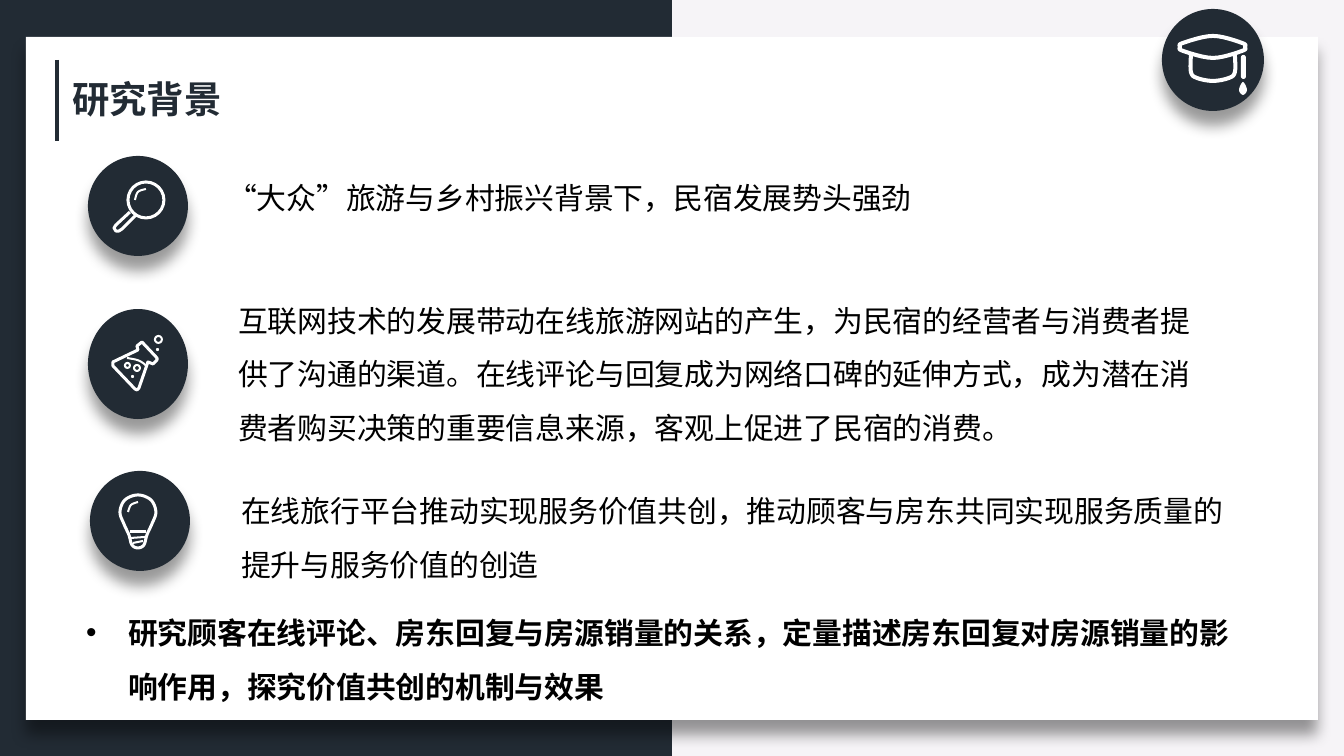
from lxml import etree
from pptx import Presentation
from pptx.dml.color import RGBColor
from pptx.enum.shapes import MSO_CONNECTOR, MSO_SHAPE
from pptx.enum.text import MSO_AUTO_SIZE
from pptx.oxml import parse_xml
from pptx.oxml.ns import nsdecls, qn
from pptx.util import Emu, Pt

RECT, OVAL, PILL = MSO_SHAPE.RECTANGLE, MSO_SHAPE.OVAL, MSO_SHAPE.ROUNDED_RECTANGLE
STRAIGHT, GROW = MSO_CONNECTOR.STRAIGHT, MSO_AUTO_SIZE.SHAPE_TO_FIT_TEXT
PX = 914400 / 134.4
SLIDE_W, SLIDE_H = 1344, 756
DARK, WHITE, PALE, BLACK = "222B34", "FFFFFF", "F6F4F7", "000000"
LATIN_FONT, CHINESE_FONT = "Calibri", "Noto Sans CJK SC"

BODY = {"size": 16, "name": LATIN_FONT, "color": BLACK, "bold": False}
TITLE = {"size": 20, "name": CHINESE_FONT, "color": DARK, "bold": True}
CONCLUSION = {**BODY, "bold": True}

# text, box, font, layout
TEXTS = [
    ("研究背景", (59, 70, 177, 59), TITLE, {"wrap": False}),
    ("“大众”旅游与乡村振兴背景下，民宿发展势头强劲",
     (214, 173, 720, 86), BODY, {"wrap": False}),
    ("互联网技术的发展带动在线旅游网站的产生，为民宿的经营者与消费者提供了沟通的渠道。"
     "在线评论与回复成为网络口碑的延伸方式，成为潜在消费者购买决策的重要信息来源，"
     "客观上促进了民宿的消费。",
     (225, 278, 1007, 171), BODY, {"spacing": 1.5}),
    ("在线旅行平台推动实现服务价值共创，推动顾客与房东共同实现服务质量的"
     "提升与服务价值的创造",
     (228, 468, 1019, 117), BODY, {"spacing": 1.5}),
    ("研究顾客在线评论、房东回复与房源销量的关系，定量描述房东回复对房源销量的"
     "影响作用，探究价值共创的机制与效果",
     (73, 590, 1199, 117), CONCLUSION, {"spacing": 1.5, "hanging": 42}),
]

# Icon parts: (kind, geometry, stroke width); stroke 0 means filled white
GRADUATION_CAP = [
    ("closed", [(1180, 47), (1183, 43), (1213, 36), (1242, 43),
                (1245, 47), (1242, 51), (1213, 58), (1183, 51)], 4),
    ("curve", [(1191, 54), (1191, 72), (1197, 78), (1213, 81),
               (1229, 78), (1235, 72), (1235, 54)], 4),
    ("pill", (1241, 55, 5, 24), 0),
    ("closed", [(1243, 82), (1247, 90), (1243, 95), (1239, 90)], 0),
]
MAGNIFIER = [
    ("oval", (128, 182, 36, 36), 3),
    ("open", [(130, 212), (116, 225), (114, 228), (116, 231),
              (119, 231), (122, 229), (136, 215)], 3),
    ("curve", [(135, 200), (138, 192), (146, 189)], 2),
]
FLASK = [
    ("outline", [(142, 342), (157, 358), (157, 360), (153, 364), (148, 362),
                 (139, 388), (137, 390), (135, 389), (113, 366), (113, 362),
                 (138, 350), (137, 346)], 3),
    ("curve", [(127, 358), (137, 360), (143, 363), (147, 367)], 2),
    ("oval", (134, 365, 6, 6), 2),
    ("oval", (125, 363, 5, 5), 2),
    ("oval", (155, 336, 7, 7), 2),
    ("oval", (131, 375, 3, 3), 0),
    ("oval", (156, 348, 3, 3), 0),
]
LIGHT_BULB = [
    ("closed", [(138, 495), (151, 500), (156, 512), (152, 524), (147, 535),
                (144, 545), (138, 548), (132, 545), (129, 535), (124, 524),
                (120, 512), (125, 500)], 3),
    ("line", (130, 532, 146, 532), 3),
    ("line", (131, 538, 145, 537), 2),
    ("line", (133, 543, 143, 541), 2),
    ("curve", [(128, 512), (131, 505), (138, 502)], 2),
]
BADGES = [
    ((1162, 9, 102, 102), GRADUATION_CAP),
    ((88, 156, 100, 100), MAGNIFIER),
    ((88, 309, 100, 110), FLASK),
    ((90, 471, 100, 100), LIGHT_BULB),
]


def px(*lengths):
    return [Emu(round(length * PX)) for length in lengths]


def rgb(value):
    return RGBColor.from_string(value)


def paint(shape, fill, stroke=0):
    """Fill the shape, or draw only its outline when a stroke is given."""
    shape.shadow.inherit = False
    if stroke:
        shape.fill.background()
        shape.line.color.rgb = rgb(fill)
        shape.line.width = px(stroke)[0]
    else:
        shape.fill.solid()
        shape.fill.fore_color.rgb = rgb(fill)
        shape.line.fill.background()


def add_preset(shapes, preset, box, fill, stroke=0):
    shape = shapes.add_shape(preset, *px(*box))
    paint(shape, fill, stroke)
    return shape


def add_line(shapes, ends, color, width):
    line = shapes.add_connector(STRAIGHT, *px(*ends))
    line.line.color.rgb = rgb(color)
    line.line.width = px(width)[0]
    etree.SubElement(line._element.spPr, qn("a:effectLst"))


def drop_shadow(shape):
    effects = shape._element.spPr.find(qn("a:effectLst"))
    effects.append(parse_xml(
        f'<a:outerShdw {nsdecls("a")} blurRad="{Pt(8)}" dist="{Pt(8)}" dir="5400000" '
        'algn="t" rotWithShape="0"><a:srgbClr val="000000"><a:alpha val="40000"/>'
        '</a:srgbClr></a:outerShdw>'))


def smooth(points, closed, steps=6):
    """Sample a Catmull-Rom curve through the points."""
    ring = [points[-1], *points, *points[:2]] if closed else [points[0], *points, points[-1]]
    samples = []
    for quad in zip(ring, ring[1:], ring[2:], ring[3:]):
        for step in range(steps):
            t = step / steps
            samples.append(tuple(
                b + t * (c - a) / 2 + t**2 * (2*a - 5*b + 4*c - d) / 2
                + t**3 * (3*b - a - 3*c + d) / 2
                for a, b, c, d in zip(*quad)))
    return samples if closed else samples + [points[-1]]


def add_icon_part(shapes, kind, geometry, stroke):
    if kind in ("oval", "pill"):
        shape = add_preset(shapes, OVAL if kind == "oval" else PILL, geometry, WHITE, stroke)
        if kind == "pill":
            shape.adjustments[0] = 0.5
    elif kind == "line":
        add_line(shapes, geometry, WHITE, stroke)
    else:
        closed = kind in ("closed", "outline")
        points = smooth(geometry, closed) if kind in ("closed", "curve") else geometry
        start, *rest = [px(*point) for point in points]
        builder = shapes.build_freeform(*start)
        builder.add_line_segments(rest, close=closed)
        paint(builder.convert_to_shape(), WHITE, stroke)


def add_text(shapes, text, box, font, layout):
    frame = shapes.add_textbox(*px(*box)).text_frame
    frame.word_wrap = layout.get("wrap", True)
    frame.auto_size = GROW
    paragraph = frame.paragraphs[0]
    paragraph.line_spacing = layout.get("spacing")
    if "hanging" in layout:
        indent = px(layout["hanging"])[0]
        properties = paragraph._p.get_or_add_pPr()
        properties.set("marL", str(indent))
        properties.set("indent", str(-indent))
        etree.SubElement(properties, qn("a:buFont"), typeface="Arial")
        etree.SubElement(properties, qn("a:buChar"), char="•")
    run = paragraph.add_run()
    run.text = text
    values = {"size": Pt(font["size"]), "name": font["name"], "bold": font["bold"]}
    for attribute, value in values.items():
        setattr(run.font, attribute, value)
    run.font.color.rgb = rgb(font["color"])
    etree.SubElement(run._r.get_or_add_rPr(), qn("a:ea"), typeface=CHINESE_FONT)


def main():
    deck = Presentation()
    deck.slide_width, deck.slide_height = px(SLIDE_W, SLIDE_H)
    slide = deck.slides.add_slide(deck.slide_layouts[6])
    slide.background.fill.solid()
    slide.background.fill.fore_color.rgb = rgb(PALE)

    add_preset(slide.shapes, RECT, (0, 0, SLIDE_W // 2, SLIDE_H), DARK)
    drop_shadow(add_preset(slide.shapes, RECT, (26, 37, 1292, 683), WHITE))
    add_line(slide.shapes, (57, 60, 57, 141), DARK, 4)
    for circle, icon in BADGES:
        badge = slide.shapes.add_group_shape().shapes
        drop_shadow(add_preset(badge, OVAL, circle, DARK))
        for part in icon:
            add_icon_part(badge, *part)
    for text in TEXTS:
        add_text(slide.shapes, *text)
    deck.save("out.pptx")


if __name__ == "__main__":
    main()
